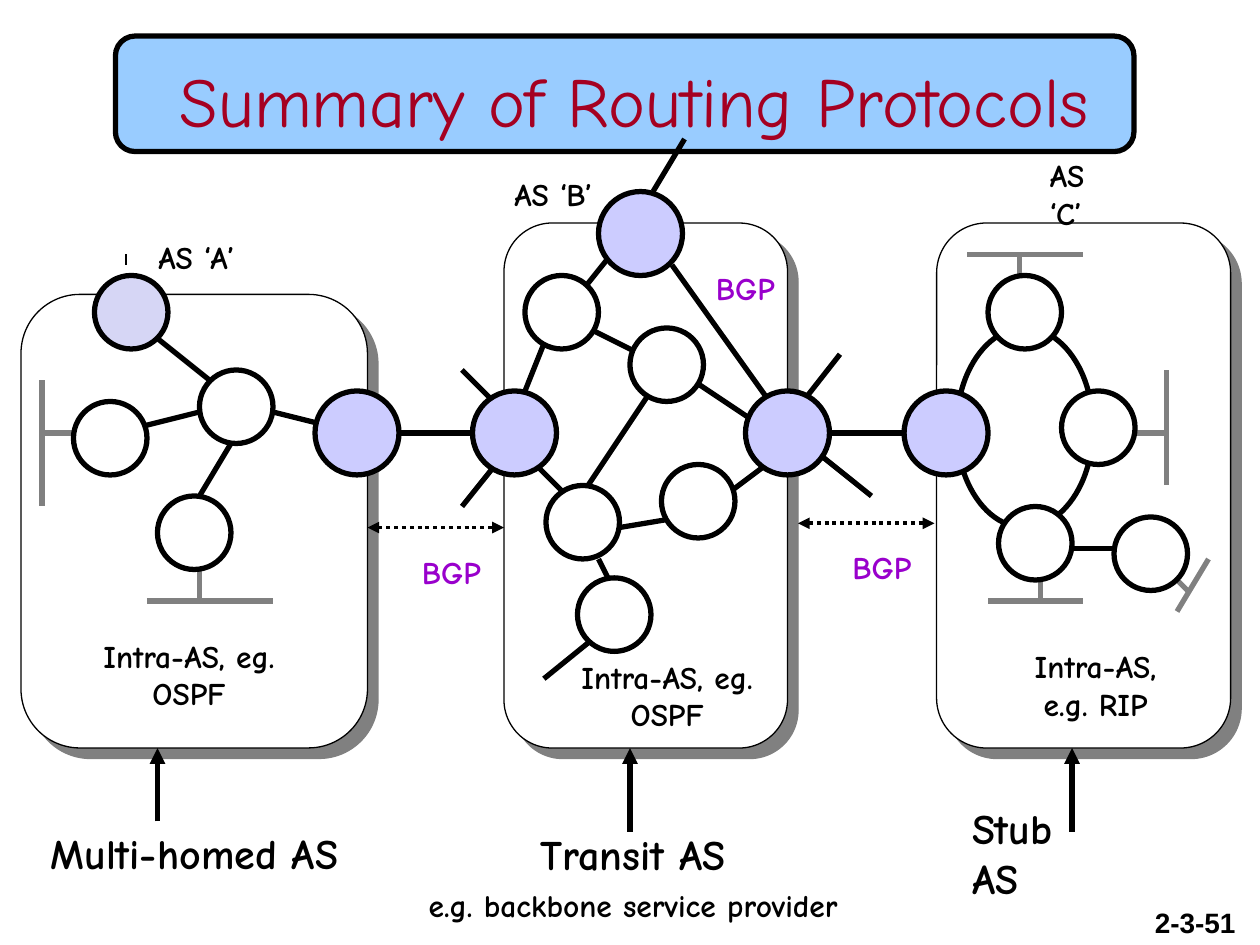
from typing import NamedTuple

from lxml import etree
from pptx import Presentation, util as u
from pptx.dml.color import RGBColor
from pptx.enum import dml, shapes, text
from pptx.oxml.ns import qn

CELL = u.Inches(1) // 12  # the slide is 120 columns by 90 rows
TOP = u.Inches(0.02)
BLACK, GREY, WHITE = "000000", "808080", "FFFFFF"
LILAC, PALE, PURPLE = "CCCCFF", "D6D6F5", "9900CC"
OVAL = shapes.MSO_SHAPE.OVAL
ROUND = shapes.MSO_SHAPE.ROUNDED_RECTANGLE
LEFT, MID = text.PP_ALIGN.LEFT, text.PP_ALIGN.CENTER


class Box(NamedTuple):
    col: float
    row: float
    wide: float
    high: float


class Link(NamedTuple):
    col: float
    row: float
    col2: float
    row2: float


class Run(NamedTuple):
    words: str
    size: int = 18
    ink: str = BLACK
    bold: bool = True
    font: str = "Comic Neue"


class Label(NamedTuple):
    box: Box
    runs: list[Run]  # one run for each paragraph
    side: text.PP_ALIGN = MID
    wrap: bool = True


PANELS = [Box(2, 27.8, 33, 43.2), Box(48, 21, 27, 50), Box(89.2, 21, 28, 50)]
LOOP = Box(91.1, 31, 13, 19)
NODES = [(15, 47), (19, 35), (7, 38),
         (52, 46), (63, 44), (60, 31), (50, 26), (55, 54.8),
         (95.1, 48), (101.1, 37), (94.1, 26), (106.1, 49)]
EDGES = [(30, 37), (45, 37), (57, 18), (71, 37), (86.1, 37)]

LINKS = [
    Link(15, 32, 20, 36), Link(22, 42, 19, 47), Link(11, 41, 19, 39),
    Link(26, 39, 30, 40), Link(38, 41, 47, 41), Link(48, 43, 44, 48),
    Link(48, 39, 44, 35), Link(50, 37, 52, 32), Link(55, 28, 59, 23),
    Link(62.2, 18, 65.2, 13), Link(56, 31, 62, 34), Link(64, 25, 74, 39),
    Link(73, 44, 69, 47), Link(59, 50, 65, 49), Link(57, 53, 58, 55),
    Link(56, 61, 51.8, 64.4), Link(76, 38.6, 80, 33.5), Link(78, 43, 83, 47),
    Link(79, 41, 86.1, 41), Link(51, 44, 54, 47), Link(56, 46, 62, 37),
    Link(66, 36, 72, 40), Link(102.1, 52, 107.1, 52),
]
LANS = [
    Link(4, 36, 4, 48), Link(4, 41, 8, 41),
    Link(19, 54, 19, 57), Link(14, 57, 26, 57),
    Link(97.1, 26, 97.1, 24), Link(92.1, 24, 103.1, 24),
    Link(108.1, 41, 111.1, 41), Link(111.1, 35, 111.1, 46),
    Link(112.1, 55, 113.1, 56), Link(115.1, 53, 112.1, 58),
    Link(99.1, 55, 99.1, 57), Link(94.1, 57, 103.1, 57),
]
ARROWS = [Link(15, 78, 15, 71), Link(60, 79, 60, 71),
          Link(102.1, 79, 102.1, 71)]
PEERS = [Link(35, 50, 48, 50), Link(76, 49.6, 89, 49.6)]

BGP = [Run("BGP", ink=PURPLE)]
OSPF = [Run("Intra-AS, eg. OSPF")]
LABELS = [
    Label(Box(6.4, 1.7, 108, 15),
          [Run("Summary of Routing Protocols", 40, "A50021", False)]),
    Label(Box(13.9, 21.8, 9.6, 4.8), [Run("AS ‘A’")], LEFT, False),
    Label(Box(47.8, 15.8, 9.8, 4.8), [Run("AS ‘B’")], LEFT, False),
    Label(Box(98.8, 15.8, 9.7, 4.8), [Run("AS ‘C’")], LEFT, False),
    Label(Box(8, 59.8, 20, 8.4), OSPF),
    Label(Box(53, 61.8, 21.1, 8.4), OSPF),
    Label(Box(95, 60.8, 18.7, 8.4), [Run("Intra-AS, e.g. RIP")]),
    Label(Box(39, 51.8, 9.7, 4.8), BGP, LEFT),
    Label(Box(80, 51.4, 9.7, 4.8), BGP, LEFT),
    Label(Box(67, 24.8, 9.7, 4.8), BGP, LEFT),
    Label(Box(2, 78, 33, 6), [Run("Multi-homed AS", 24)]),
    Label(Box(39.6, 78, 41.4, 10.4),
          [Run("Transit AS", 24), Run("e.g. backbone service provider")],
          MID, False),
    Label(Box(91.4, 78, 15.8, 6), [Run("Stub AS", 24)], LEFT, False),
    Label(Box(108.8, 85.5, 11.2, 4.3),
          [Run("2-3-51", 16, font="Arial")], LEFT),
]


def paint(part, ink: str) -> None:
    part.solid()
    part.fore_color.rgb = RGBColor.from_string(ink)


def spot(col: float, row: float) -> tuple[int, int]:
    return int(col * CELL), int(row * CELL + TOP)


def shape(kind, box: Box, fill: str, width: float = 3):
    item = deck.add_shape(kind, *spot(box.col, box.row),
                          int(box.wide * CELL), int(box.high * CELL))
    item.shadow.inherit = False
    paint(item.fill, fill)
    paint(item.line.fill, BLACK)
    item.line.width = u.Pt(width)
    if kind == ROUND:
        item.adjustments[0] = 0.17
    return item


def panel(box: Box) -> None:
    """Draw a rounded panel with a hard grey shadow to the lower right."""
    item = shape(ROUND, box, WHITE, 0.75)
    glow = item._element.spPr.find(qn("a:effectLst"))
    cast = etree.SubElement(glow, qn("a:outerShdw"), dist=str(u.Pt(8.5)),
                            dir="2700000", algn="ctr", rotWithShape="0")
    etree.SubElement(cast, qn("a:srgbClr"), val=GREY)


def line(link: Link, ink: str = BLACK, width: float = 3,
         ends: tuple[str, ...] = (), dots: bool = False) -> None:
    """Draw a straight line; ends lists headEnd and tailEnd, in that order."""
    item = deck.add_connector(shapes.MSO_CONNECTOR.STRAIGHT,
                              *spot(link.col, link.row),
                              *spot(link.col2, link.row2))
    paint(item.line.fill, ink)
    item.line.width = u.Pt(width)
    if dots:
        item.line.dash_style = dml.MSO_LINE.ROUND_DOT
    for end in ends:
        etree.SubElement(item.line._get_or_add_ln(), qn("a:" + end),
                         type="triangle")
    etree.SubElement(item._element.spPr, qn("a:effectLst"))


def write(label: Label) -> None:
    box = label.box
    frame = deck.add_textbox(*spot(box.col, box.row), int(box.wide * CELL),
                             int(box.high * CELL)).text_frame
    frame.word_wrap = label.wrap
    frame.vertical_anchor = text.MSO_ANCHOR.MIDDLE
    for n, run in enumerate(label.runs):
        para = frame.add_paragraph() if n else frame.paragraphs[0]
        para.alignment = label.side
        if n:
            para.space_before = u.Pt(4.5)
        bit = para.add_run()
        bit.text = run.words
        bit.font.name = run.font
        bit.font.size = u.Pt(run.size)
        bit.font.bold = run.bold
        bit.font.color.rgb = RGBColor.from_string(run.ink)


show = Presentation()
show.slide_width, show.slide_height = 120 * CELL, 90 * CELL
deck = show.slides.add_slide(show.slide_layouts[6]).shapes

shape(ROUND, Box(11, 3.2, 97, 11), "99CCFF")
for box in PANELS:
    panel(box)
for link in LINKS:
    line(link)
line(Link(12, 25, 12, 24), width=0.75)
for link in LANS:
    line(link, GREY)
for link in ARROWS:
    line(link, ends=("tailEnd",))
for link in PEERS:
    line(link, width=2.25, ends=("headEnd", "tailEnd"), dots=True)
shape(OVAL, LOOP, WHITE)
for col, row in NODES:
    shape(OVAL, Box(col, row, 7, 7), WHITE)
shape(OVAL, Box(9, 26, 7, 7), PALE)
for col, row in EDGES:
    shape(OVAL, Box(col, row, 8, 8), LILAC)
for label in LABELS:
    write(label)

show.save("out.pptx")
